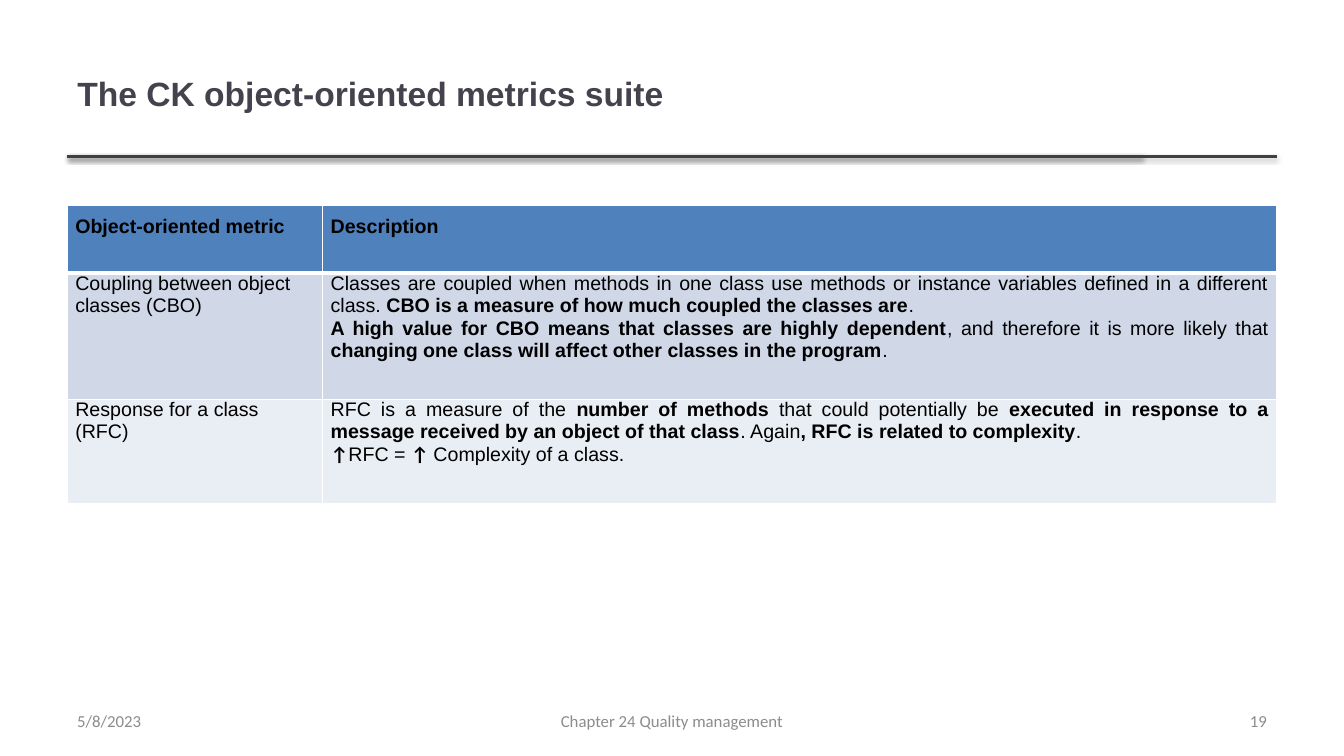
from typing import NamedTuple

from lxml import etree
from pptx import Presentation, util as u
from pptx.dml.color import RGBColor
from pptx.enum import shapes, text
from pptx.oxml import parse_xml
from pptx.oxml.ns import qn

WIDE, HIGH = u.Inches(13.33), u.Inches(7.5)
COLS, ROWS = 120, 150
LEFT, RIGHT = 6, 114

INK = RGBColor(0x46, 0x42, 0x4D)
RULE = RGBColor(0x40, 0x40, 0x40)
GRAY = RGBColor(0x8C, 0x8C, 0x8C)
BLACK = RGBColor(0, 0, 0)
BLUE = RGBColor(0x4F, 0x81, 0xBD)
PALE = RGBColor(0xD0, 0xD8, 0xE8)
MIST = RGBColor(0xE9, 0xED, 0xF4)

START = text.PP_ALIGN.LEFT
MID = text.PP_ALIGN.CENTER
END = text.PP_ALIGN.RIGHT
FULL = text.PP_ALIGN.JUSTIFY

NS = 'xmlns:a="http://schemas.openxmlformats.org/drawingml/2006/main"'
SHADOW = (f'<a:effectLst {NS}><a:outerShdw blurRad="40000" dist="20000" '
          'dir="5400000" rotWithShape="0"><a:srgbClr val="000000">'
          '<a:alpha val="38000"/></a:srgbClr></a:outerShdw></a:effectLst>')


class Run(NamedTuple):
    text: str
    bold: bool = False
    font: str = "Arial"


class Row(NamedTuple):
    high: float
    fill: RGBColor
    top: float
    edge: float
    aligns: tuple
    cells: tuple  # each cell is a list of paragraphs, each a list of runs


class Foot(NamedTuple):
    text: str
    left: float
    wide: float
    align: text.PP_ALIGN


TITLE = Run("The CK object-oriented metrics suite", True)
SPANS = (22.8, 85.2)
TABLE = [
    Row(13.4, BLUE, 0.1, 3, (FULL, FULL), (
        [[Run("Object-oriented metric", True)]],
        [[Run("Description", True)]])),
    Row(25, PALE, 0, 1, (START, FULL), (
        [[Run("Coupling between object classes (CBO)")]],
        [[Run("Classes are coupled when methods in one class use methods or "
              "instance variables defined in a different class. "),
          Run("CBO is a measure of how much coupled the classes are", True),
          Run(".")],
         [Run("A high value for CBO means that classes are highly dependent", True),
          Run(", and therefore it is more likely that "),
          Run("changing one class will affect other classes in the program", True),
          Run(".")]])),
    Row(20.8, MIST, 0, 1, (START, FULL), (
        [[Run("Response for a class (RFC)")]],
        [[Run("RFC is a measure of the "),
          Run("number of methods ", True),
          Run("that could potentially be "),
          Run("executed in response to a message received by an object "
              "of that class", True),
          Run(". Again"),
          Run(", RFC is related to complexity", True),
          Run(".")],
         [Run("↑", True, "Calibri"), Run("RFC = "),
          Run("↑ ", True, "Calibri"), Run("Complexity of a class.")]])),
]
FEET = [
    Foot("5/8/2023", LEFT, 28, START),
    Foot("Chapter 24 Quality management", 41, 38, MID),
    Foot("19", 86, 28, END),
]


def col(n: float) -> int:
    return round(WIDE * n / COLS)


def row(n: float) -> int:
    return round(HIGH * n / ROWS)


def add_run(para, run: Run, size: float, color: RGBColor) -> None:
    part = para.add_run()
    part.text = run.text
    font = part.font
    font.name, font.size, font.bold = run.font, u.Pt(size), run.bold
    font.color.rgb = color


def add_title(slide) -> None:
    title = slide.shapes.title
    title.left, title.top = col(LEFT), row(6)
    title.width, title.height = col(95.7), row(25)
    frame = title.text_frame
    frame.vertical_anchor = text.MSO_ANCHOR.MIDDLE
    frame.auto_size = text.MSO_AUTO_SIZE.NONE
    para = frame.paragraphs[0]
    para.alignment = START
    add_run(para, TITLE, 24, INK)


def add_rule(slide, end: float) -> None:
    line = slide.shapes.add_connector(
        shapes.MSO_CONNECTOR.STRAIGHT, col(LEFT), row(31), col(end), row(31))
    line.line.color.rgb = RULE
    line.line.width = u.Pt(2)
    line._element.spPr.append(parse_xml(SHADOW))


def add_edges(cell, base: float) -> None:
    """Draw white cell borders, with the bottom one as thick as base."""
    props = cell._tc.get_or_add_tcPr()
    widths = {"a:lnL": 1, "a:lnR": 1, "a:lnT": 1, "a:lnB": base}
    for spot, (tag, wide) in enumerate(widths.items()):
        edge = etree.Element(qn(tag), w=str(u.Pt(wide)))
        fill = etree.SubElement(edge, qn("a:solidFill"))
        etree.SubElement(fill, qn("a:srgbClr"), val="FFFFFF")
        props.insert(spot, edge)


def fill_cell(cell, paras: list, align: text.PP_ALIGN, style: Row) -> None:
    cell.fill.solid()
    cell.fill.fore_color.rgb = style.fill
    cell.margin_left = cell.margin_right = u.Inches(0.08)
    cell.margin_top, cell.margin_bottom = u.Inches(style.top), u.Inches(0.1)
    add_edges(cell, style.edge)
    frame = cell.text_frame
    for i, runs in enumerate(paras):
        para = frame.add_paragraph() if i else frame.paragraphs[0]
        para.alignment = align
        for run in runs:
            add_run(para, run, 14, BLACK)


def add_grid(slide) -> None:
    high = sum(line.high for line in TABLE)
    grid = slide.shapes.add_table(
        len(TABLE), len(SPANS), col(LEFT), row(40.8),
        col(sum(SPANS)), row(high)).table
    for i, span in enumerate(SPANS):
        grid.columns[i].width = col(span)
    for i, line in enumerate(TABLE):
        grid.rows[i].height = row(line.high)
        for j, (paras, align) in enumerate(zip(line.cells, line.aligns)):
            fill_cell(grid.cell(i, j), paras, align, line)


def add_foot(slide, foot: Foot) -> None:
    box = slide.shapes.add_textbox(col(foot.left), row(139), col(foot.wide), row(8))
    frame = box.text_frame
    frame.word_wrap = True
    frame.vertical_anchor = text.MSO_ANCHOR.MIDDLE
    para = frame.paragraphs[0]
    para.alignment = foot.align
    add_run(para, Run(foot.text, font="Calibri"), 12, GRAY)


def main() -> None:
    deck = Presentation()
    deck.slide_width, deck.slide_height = WIDE, HIGH
    slide = deck.slides.add_slide(deck.slide_layouts[5])
    for end in (102, RIGHT):
        add_rule(slide, end)
    add_title(slide)
    add_grid(slide)
    for foot in FEET:
        add_foot(slide, foot)
    deck.save("out.pptx")


if __name__ == "__main__":
    main()
